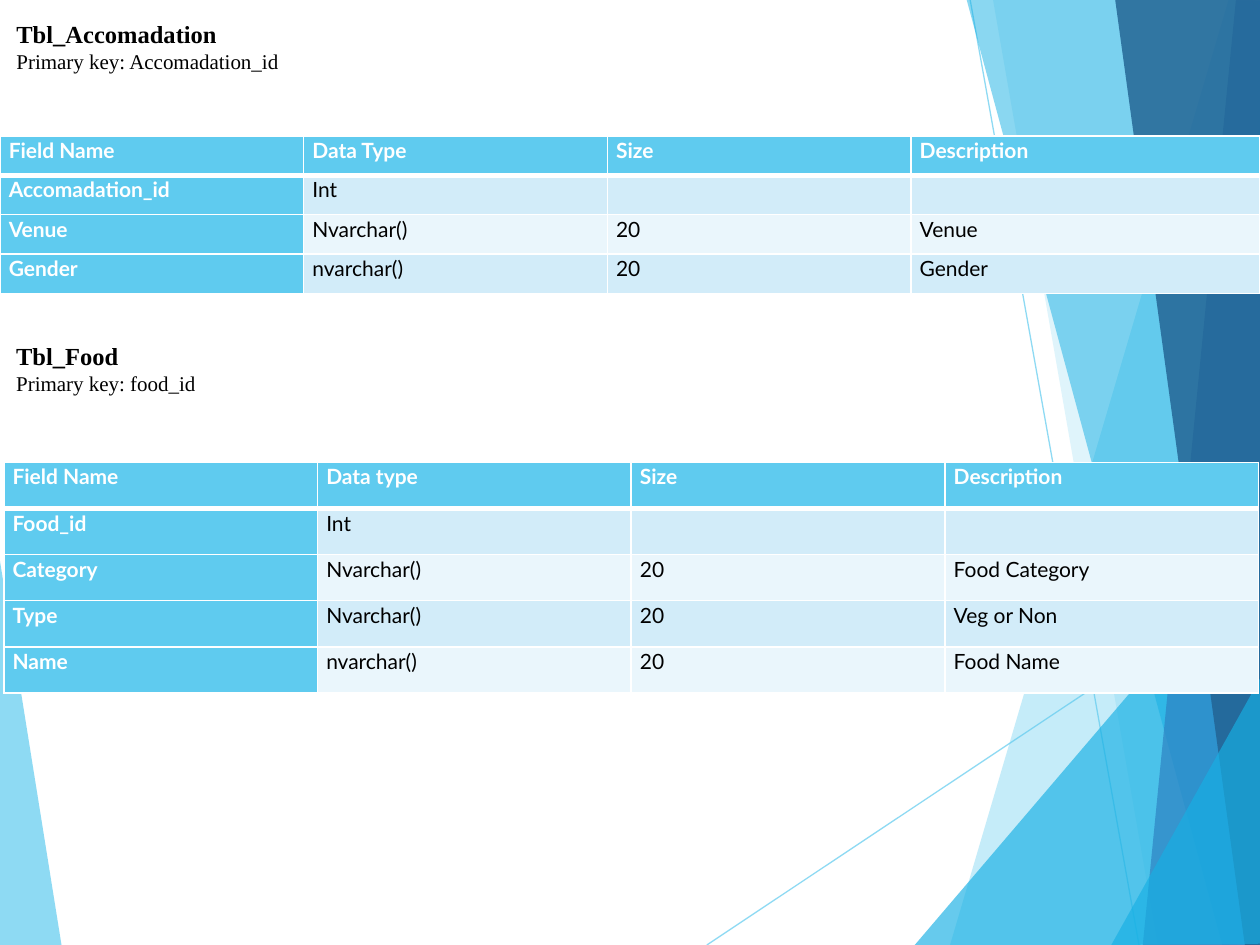
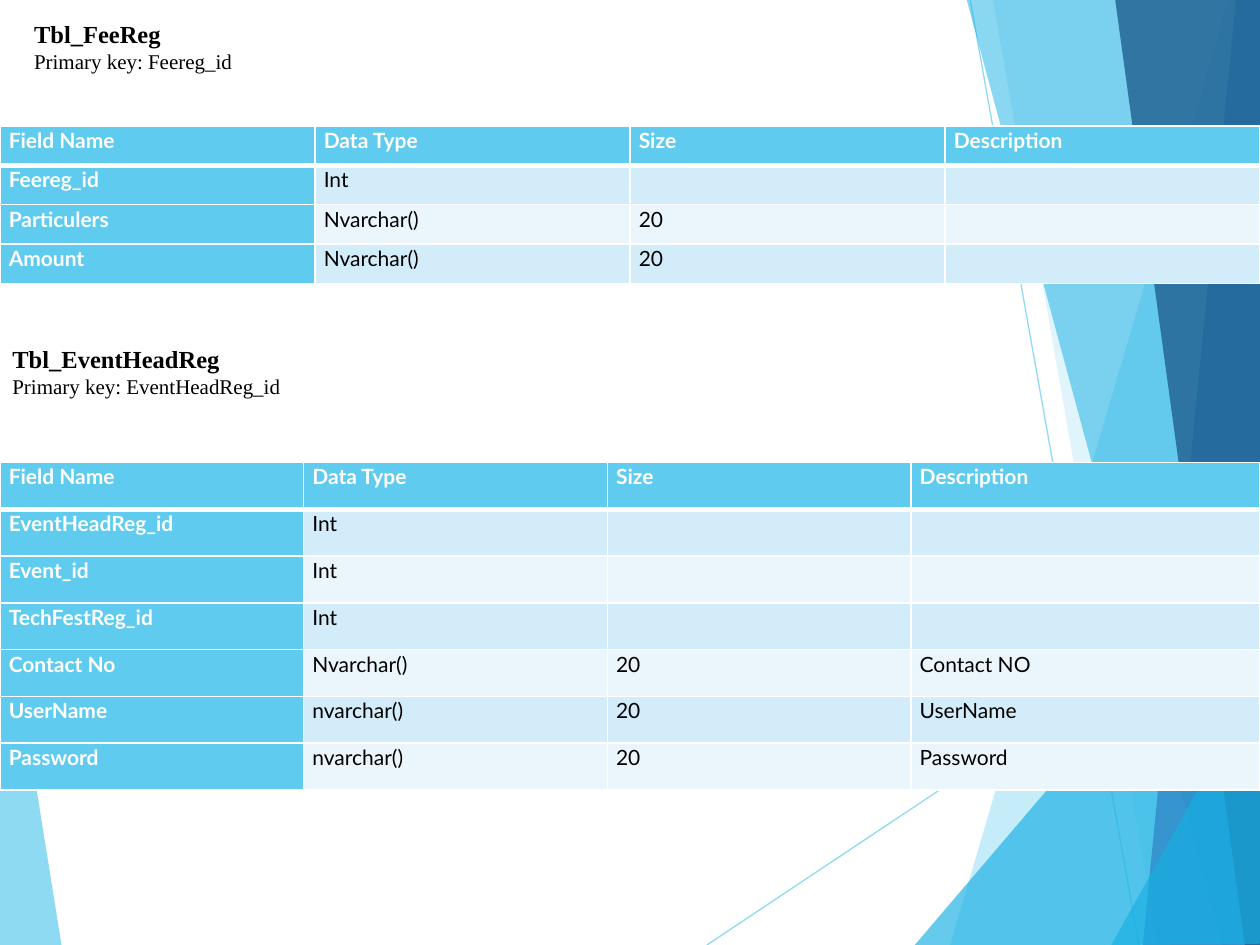
from dataclasses import dataclass

from lxml import etree
from pptx import Presentation
from pptx import util as u
from pptx.dml.color import RGBColor
from pptx.enum import shapes, text
from pptx.oxml import ns

WHITE = RGBColor(0xFF, 0xFF, 0xFF)
BLACK = RGBColor(0x00, 0x00, 0x00)
SKY = RGBColor(0x5F, 0xCB, 0xEF)
CYAN = RGBColor(0x17, 0xB0, 0xE4)
BLUE = RGBColor(0x2E, 0x83, 0xC3)
NAVY = RGBColor(0x22, 0x62, 0x92)
ROW_TINTS = (RGBColor(0xD2, 0xEC, 0xF9), RGBColor(0xEA, 0xF6, 0xFC))

HEADING_FONT = "Times New Roman"
TABLE_FONT = "Lato"
WIDE_LAST = (2.41, 2.41, 2.41, 2.77)
EVEN = (2.5,) * 4
HEADER = ("Field Name", "Data Type", "Size", "Description")


@dataclass(frozen=True)
class Facet:
    points: tuple[tuple[float, float], ...]
    color: RGBColor
    opacity: int


@dataclass(frozen=True)
class Ray:
    start: tuple[float, float]
    end: tuple[float, float]


@dataclass(frozen=True)
class Entity:
    name: str
    key: str
    heading_at: tuple[float, float]
    table_at: tuple[float, float]
    height: float
    columns: tuple[float, ...]
    rows: tuple[tuple[str, ...], ...]


BACKDROP = (
    Facet(((-0.01, 4.39), (0.49, 7.51), (-0.01, 7.5)), SKY, 70),
    Ray((5.61, 7.5), (10.01, 4.57)),
    Ray((7.7, 0), (9.04, 7.5)),
    Facet(((9.75, 0), (7.54, 7.5), (10.02, 7.51), (10.01, 0.01)), SKY, 36),
    Facet(((7.88, -0.01), (9.19, 7.5), (10.01, 7.5), (10.01, -0.01)), SKY, 20),
    Facet(((7.26, 7.5), (10, 4.29), (10.01, 7.5)), CYAN, 66),
    Facet(((7.67, -0.01), (9.7, 7.5), (10.01, 7.49), (10.01, -0.01)), CYAN, 50),
    Facet(((9.81, -0.01), (9.07, 7.5), (10.01, 7.5), (10, -0.01)), BLUE, 70),
    Facet(((8.85, -0.01), (9.88, 7.5), (10.02, 7.5), (10, -0.01)), NAVY, 82),
    Facet(((8.82, 7.5), (10.02, 5.35), (10.02, 7.49)), CYAN, 66),
)

SLIDES = (
    (
        Entity("Tbl_Accomadation", "Accomadation_id", (0.03, 0.15), (0, 1.08), 1.25, WIDE_LAST, (
            HEADER,
            ("Accomadation_id", "Int", "", ""),
            ("Venue", "Nvarchar()", "20", "Venue"),
            ("Gender", "nvarchar()", "20", "Gender"),
        )),
        Entity("Tbl_Food", "food_id", (0.03, 2.71), (0.03, 3.67), 1.83, (2.49,) * 4, (
            ("Field Name", "Data type", "Size", "Description"),
            ("Food_id", "Int", "", ""),
            ("Category", "Nvarchar()", "20", "Food Category"),
            ("Type", "Nvarchar()", "20", "Veg or Non"),
            ("Name", "nvarchar()", "20", "Food Name"),
        )),
    ),
    (
        Entity("Tbl_FeeReg", "Feereg_id", (0.17, 0.15), (0, 1), 1.25, EVEN, (
            HEADER,
            ("Feereg_id", "Int", "", ""),
            ("Particulers", "Nvarchar()", "20", ""),
            ("Amount", "Nvarchar()", "20", ""),
        )),
        Entity("Tbl_EventHeadReg", "EventHeadReg_id", (0, 2.73), (0, 3.67), 2.6, WIDE_LAST, (
            HEADER,
            ("EventHeadReg_id", "Int", "", ""),
            ("Event_id", "Int", "", ""),
            ("TechFestReg_id", "Int", "", ""),
            ("Contact No", "Nvarchar()", "20", "Contact NO"),
            ("UserName", "nvarchar()", "20", "UserName"),
            ("Password", "nvarchar()", "20", "Password"),
        )),
    ),
)


def write(paragraph, content: str, *, size: float = 12, bold: bool = False,
          color: RGBColor = BLACK, font: str = TABLE_FONT, spacing: float = 1.0) -> None:
    paragraph.alignment = text.PP_ALIGN.LEFT
    paragraph.line_spacing = spacing
    run = paragraph.add_run()
    run.text = content
    run.font.name = font
    run.font.size = u.Pt(size)
    run.font.bold = bold
    run.font.color.rgb = color


def set_opacity(element, percent: int) -> None:
    color = next(element.iter(ns.qn("a:srgbClr")))
    etree.SubElement(color, ns.qn("a:alpha"), val=str(percent * 1000))


def draw_facet(slide, facet: Facet):
    corners = [(u.Inches(x), u.Inches(y)) for x, y in facet.points]
    builder = slide.shapes.build_freeform(*corners[0])
    builder.add_line_segments(corners[1:], close=True)
    outline = builder.convert_to_shape()
    outline.shadow.inherit = False
    outline.fill.solid()
    outline.fill.fore_color.rgb = facet.color
    outline.line.fill.background()
    set_opacity(outline.element.spPr, facet.opacity)
    return outline


def draw_ray(slide, ray: Ray):
    ends = [u.Inches(value) for value in ray.start + ray.end]
    stroke = slide.shapes.add_connector(shapes.MSO_CONNECTOR.STRAIGHT, *ends)
    stroke.line.color.rgb = SKY
    stroke.line.width = u.Pt(0.75)
    set_opacity(stroke.element.spPr, 70)
    etree.SubElement(stroke.element.spPr, ns.qn("a:effectLst"))
    return stroke


def move_backdrop_to_layout(slide) -> None:
    for number, part in enumerate(BACKDROP, start=100):
        drawn = draw_facet(slide, part) if isinstance(part, Facet) else draw_ray(slide, part)
        next(drawn.element.iter(ns.qn("p:cNvPr"))).set("id", str(number))
        slide.slide_layout.shapes.element.append(drawn.element)


def write_heading(holder, entity: Entity) -> None:
    left, top = entity.heading_at
    holder.left, holder.top = u.Inches(left), u.Inches(top)
    holder.width, holder.height = u.Inches(10 - left), u.Inches(0.5)
    frame = holder.text_frame
    frame.word_wrap = True
    frame.auto_size = text.MSO_AUTO_SIZE.NONE
    frame.vertical_anchor = text.MSO_ANCHOR.TOP
    frame.margin_left = frame.margin_right = u.Inches(0.1)
    frame.margin_top = frame.margin_bottom = 0
    write(frame.paragraphs[0], entity.name, size=14, bold=True, font=HEADING_FONT)
    write(frame.add_paragraph(), f"Primary key: {entity.key}", font=HEADING_FONT)


def set_borders(cell, top: float, bottom: float) -> None:
    properties = cell._tc.get_or_add_tcPr()
    for side, width in (("L", 1), ("R", 1), ("T", top), ("B", bottom)):
        edge = etree.SubElement(properties, ns.qn(f"a:ln{side}"), w=str(u.Pt(width)))
        fill = etree.SubElement(edge, ns.qn("a:solidFill"))
        etree.SubElement(fill, ns.qn("a:srgbClr"), val=str(WHITE))


def draw_fields(slide, entity: Entity) -> None:
    left, top = entity.table_at
    count = len(entity.rows)
    grid = slide.shapes.add_table(
        count, len(entity.columns), u.Inches(left), u.Inches(top),
        u.Inches(sum(entity.columns)), u.Inches(entity.height)).table
    grid.horz_banding = False
    for column, width in zip(grid.columns, entity.columns):
        column.width = u.Inches(width)
    for r, values in enumerate(entity.rows):
        grid.rows[r].height = u.Inches(entity.height / count)
        for c, value in enumerate(values):
            cell = grid.cell(r, c)
            emphasized = r == 0 or c == 0
            cell.margin_left = cell.margin_right = u.Inches(0.07)
            cell.margin_top = cell.margin_bottom = 0
            set_borders(cell, 3 if r == 1 else 1, 3 if r == 0 else 1)
            cell.fill.solid()
            cell.fill.fore_color.rgb = SKY if emphasized else ROW_TINTS[(r - 1) % 2]
            write(cell.text_frame.paragraphs[0], value, bold=emphasized,
                  color=WHITE if emphasized else BLACK, spacing=1.07)


def main() -> None:
    deck = Presentation()
    deck.slide_width, deck.slide_height = u.Inches(10), u.Inches(7.5)
    title_only = deck.slide_layouts[5]
    for index, (upper, lower) in enumerate(SLIDES):
        slide = deck.slides.add_slide(title_only)
        if index == 0:
            move_backdrop_to_layout(slide)
        write_heading(slide.shapes.title, upper)
        draw_fields(slide, upper)
        write_heading(slide.shapes.add_textbox(0, 0, 0, 0), lower)
        draw_fields(slide, lower)
    deck.save("out.pptx")


if __name__ == "__main__":
    main()
